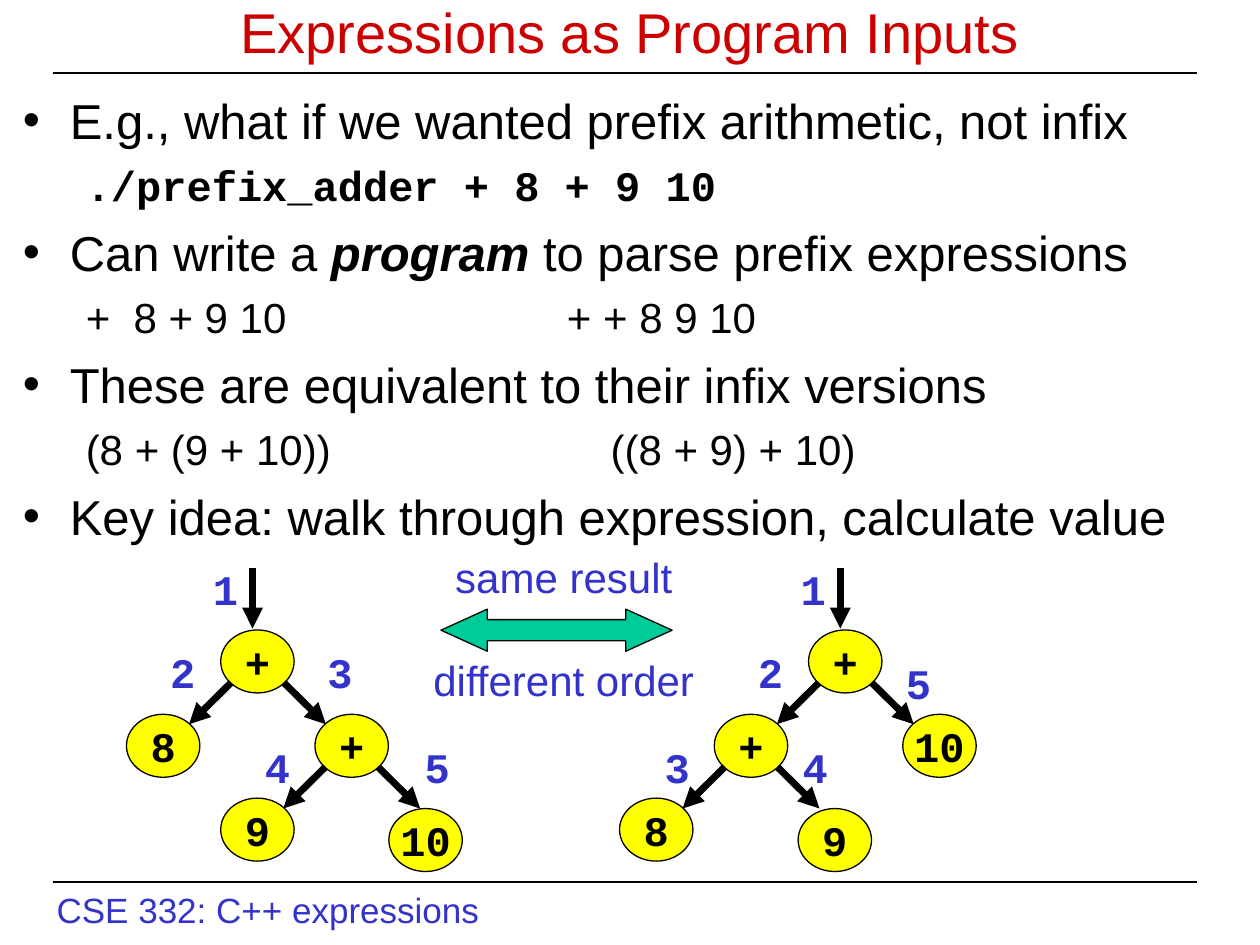
from lxml.etree import SubElement
from pptx import Presentation
from pptx.dml.color import RGBColor
from pptx.enum.shapes import MSO_CONNECTOR, MSO_SHAPE
from pptx.enum.text import MSO_ANCHOR, MSO_AUTO_SIZE, PP_ALIGN
from pptx.oxml.ns import qn
from pptx.util import Cm, Pt

BLACK, BLUE, RED = "000000", "3333CC", "CC0000"
YELLOW, GREEN = "FFFF00", "00CC99"
SANS, MONO = "Arial", "Courier New"
color = RGBColor.from_string


def add_run(paragraph, text, size, font=SANS, hue=BLACK, bold=False, italic=False):
    run = paragraph.add_run()
    run.text = text
    run.font.name, run.font.size = font, Pt(size)
    run.font.bold, run.font.italic = bold, italic
    run.font.color.rgb = color(hue)


def add_line(x1, y1, x2, y2, width, arrow=False):
    line = slide.shapes.add_connector(
        MSO_CONNECTOR.STRAIGHT, Cm(x1), Cm(y1), Cm(x2), Cm(y2))
    line.line.width = Pt(width)
    line.line.color.rgb = color(BLACK)
    if arrow:
        SubElement(line.line._get_or_add_ln(), qn("a:tailEnd"), type="triangle")
    SubElement(line._element.spPr, qn("a:effectLst"))


presentation = Presentation()
presentation.slide_width, presentation.slide_height = Cm(25.4), Cm(19.05)
slide = presentation.slides.add_slide(presentation.slide_layouts[5])

# Footer and rules
footer = slide.shapes.add_textbox(Cm(0.89), Cm(17.78), Cm(10), Cm(1.12))
footer.text_frame.word_wrap = True
add_run(footer.text_frame.paragraphs[0], "CSE 332: C++ expressions", 20, hue=BLUE)
for y in (17.78, 1.47):
    add_line(1.06, y, 24.13, y, 0.74)

# Title
title = slide.shapes.title
title.left, title.top, title.width, title.height = Cm(0), Cm(-0.42), Cm(25.4), Cm(2.1)
title.text_frame.auto_size = MSO_AUTO_SIZE.NONE
title.text_frame.vertical_anchor = MSO_ANCHOR.MIDDLE
title.text_frame.paragraphs[0].alignment = PP_ALIGN.CENTER
add_run(title.text_frame.paragraphs[0], "Expressions as Program Inputs", 32, hue=RED)

# Points, each with an optional example line
points = [
    (["E.g., what if we wanted prefix arithmetic, not infix"],
     ("./prefix_adder + 8 + 9 10", MONO)),
    (["Can write a ", "program", " to parse prefix expressions"],
     ("+  8 + 9 10", SANS)),
    (["These are equivalent to their infix versions"],
     ("(8 + (9 + 10))", SANS)),
    (["Key idea: walk through expression, calculate value"], None),
]
body = slide.shapes.add_textbox(Cm(0.21), Cm(1.7), Cm(25.19), Cm(9.73)).text_frame
body.word_wrap = True
for index, (parts, example) in enumerate(points):
    paragraph = body.add_paragraph() if index else body.paragraphs[0]
    paragraph.space_before = Pt(7)
    properties = paragraph._p.get_or_add_pPr()
    properties.set("marL", str(Cm(0.95)))
    properties.set("indent", str(Cm(-0.95)))
    SubElement(properties, qn("a:buFont"), typeface=SANS)
    SubElement(properties, qn("a:buChar"), char="•")
    for part in parts:
        strong = part == "program"
        add_run(paragraph, part, 28, bold=strong, italic=strong)
    if example:
        text, font = example
        paragraph = body.add_paragraph()
        paragraph.space_before = Pt(6)
        properties = paragraph._p.get_or_add_pPr()
        properties.set("marL", "0")
        properties.set("indent", str(Cm(1.27)))
        SubElement(properties, qn("a:buNone"))
        add_run(paragraph, text, 24, font, bold=font == MONO)

# Second column of the example lines
for text, x, y in (("+ + 8 9 10", 11.18, 5.76), ("((8 + 9) + 10)", 12.06, 8.42)):
    example_box = slide.shapes.add_textbox(Cm(x), Cm(y), Cm(7), Cm(1.27))
    example_box.text_frame.word_wrap = True
    add_run(example_box.text_frame.paragraphs[0], text, 24)

# Expression trees: root position, then nodes and step numbers relative to it
trees = [
    (4.45, 12.7,
     [("+", 0, 0), ("+", 1.9, 1.7), ("8", -1.9, 1.7), ("9", 0, 3.39), ("10", 3.39, 3.6)],
     [(-0.41, -1.47), (-1.27, 0.21), (1.9, 0.21), (0.64, 2.12), (3.86, 2.12)]),
    (16.3, 12.7,
     [("+", 0, 0), ("+", -1.9, 1.7), ("8", -3.81, 3.39), ("9", -0.21, 3.6), ("10", 1.9, 1.7)],
     [(-0.41, -1.47), (-1.27, 0.21), (-3.15, 2.12), (-0.37, 2.12), (1.71, 0.42)]),
]
for root_x, root_y, nodes, steps in trees:
    for symbol, dx, dy in nodes:
        x, y = root_x + dx, root_y + dy
        node = slide.shapes.add_shape(MSO_SHAPE.OVAL, Cm(x), Cm(y), Cm(1.48), Cm(1.27))
        node.shadow.inherit = False
        node.fill.solid()
        node.fill.fore_color.rgb = color(YELLOW)
        node.line.color.rgb = color(BLACK)
        node.line.width = Pt(0.74)
        node.text_frame.word_wrap = False
        node.text_frame.vertical_anchor = MSO_ANCHOR.MIDDLE
        node.text_frame.paragraphs[0].alignment = PP_ALIGN.CENTER
        add_run(node.text_frame.paragraphs[0], symbol, 24, MONO, bold=True)
        if symbol == "+":
            for start, end in ((0.21, -0.64), (1.27, 2.12)):
                add_line(x + start, y + 1.06, x + end, y + 1.9, 4, arrow=True)
    add_line(root_x + 0.64, root_y - 1.24, root_x + 0.64, root_y - 0.03, 4, arrow=True)
    for number, (dx, dy) in enumerate(steps, 1):
        step = slide.shapes.add_textbox(
            Cm(root_x + dx), Cm(root_y + dy), Cm(1.02), Cm(1.27))
        step.text_frame.word_wrap = False
        add_run(step.text_frame.paragraphs[0], str(number), 24, MONO, BLUE, bold=True)

# Comparison between the trees
arrow = slide.shapes.add_shape(
    MSO_SHAPE.LEFT_RIGHT_ARROW, Cm(8.89), Cm(12.28), Cm(4.66), Cm(0.85))
arrow.adjustments[0], arrow.adjustments[1] = 0.5, 1.1
arrow.shadow.inherit = False
arrow.fill.solid()
arrow.fill.fore_color.rgb = color(GREEN)
arrow.line.color.rgb = color(BLACK)
arrow.line.width = Pt(0.74)
caption = slide.shapes.add_textbox(Cm(8.48), Cm(11), Cm(5.77), Cm(3.3)).text_frame
caption.word_wrap = False
for text, gap in (("same result", 0), ("different order", 30)):
    paragraph = caption.add_paragraph() if gap else caption.paragraphs[0]
    paragraph.alignment = PP_ALIGN.CENTER
    paragraph.space_before = Pt(gap)
    add_run(paragraph, text, 24, hue=BLUE)

presentation.save("out.pptx")
